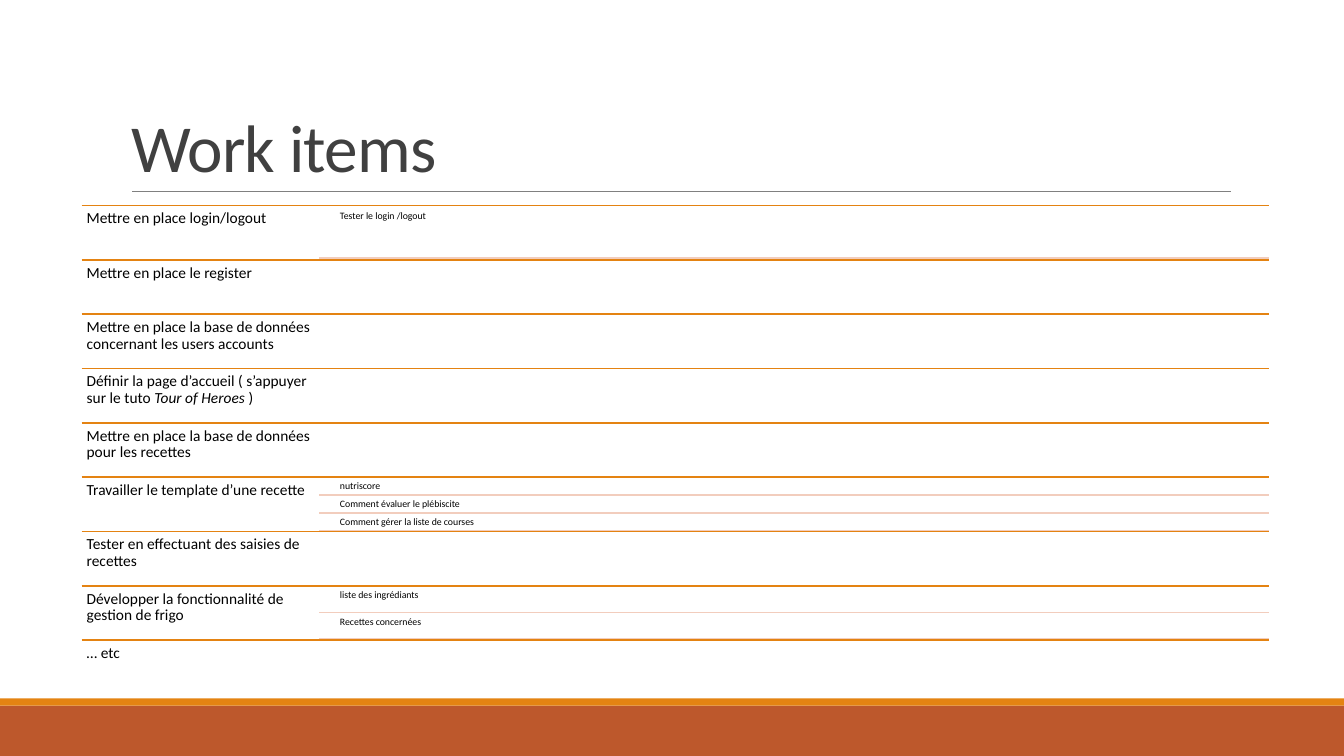
from dataclasses import dataclass

from lxml import etree
from pptx import Presentation, util as u
from pptx.dml.color import RGBColor
from pptx.enum import shapes, text
from pptx.oxml.ns import qn


@dataclass(frozen=True)
class Theme:
    font: str = "Calibri"
    ink: str = "000000"
    head: str = "404040"
    rust: str = "BD582C"
    gold: str = "E48312"
    pale: str = "F2CDBD"
    gray: str = "808080"
    big: int = 48
    mid: int = 11
    tiny: int = 7
    thick: float = 1.25
    thin: float = 0.5


class Deck:
    # Grid of the work list: 20 columns, one row per item
    left, top, col, row = 0.81, 2.04, 0.589, 0.539

    def __init__(self, theme):
        self.theme = theme
        self.prs = Presentation()
        self.prs.slide_width = u.Inches(13.33)
        self.prs.slide_height = u.Inches(7.5)
        self.slide = self.prs.slides.add_slide(self.prs.slide_layouts[5])

    def cell(self, col, row):
        """Grid position in inches."""
        return self.left + col * self.col, self.top + row * self.row

    def style(self, para, size, color, ratio):
        para.line_spacing = ratio
        para.alignment = text.PP_ALIGN.LEFT
        for run in para.runs:
            run.font.name = self.theme.font
            run.font.size = u.Pt(size)
            run.font.color.rgb = RGBColor.from_string(color)

    def title(self, words, x, y, w, h):
        box = self.slide.shapes.title
        box.left, box.top, box.width, box.height = map(u.Inches, (x, y, w, h))
        frame = box.text_frame
        frame.text = words
        frame.word_wrap = True
        frame.auto_size = text.MSO_AUTO_SIZE.NONE
        frame.vertical_anchor = text.MSO_ANCHOR.BOTTOM
        para = frame.paragraphs[0]
        self.style(para, self.theme.big, self.theme.head, 0.85)
        para.runs[0].font._element.set("spc", "-50")

    def band(self, y, h, color):
        bar = self.slide.shapes.add_shape(
            shapes.MSO_SHAPE.RECTANGLE, 0, u.Inches(y),
            self.prs.slide_width, u.Inches(h))
        bar.shadow.inherit = False
        bar.fill.solid()
        bar.fill.fore_color.rgb = RGBColor.from_string(color)
        bar.line.fill.background()

    def rule(self, x, y, end, color, width):
        line = self.slide.shapes.add_connector(
            shapes.MSO_CONNECTOR.STRAIGHT,
            *map(u.Inches, (x, y, end, y)))
        line.line.color.rgb = RGBColor.from_string(color)
        line.line.width = u.Pt(width)
        etree.SubElement(line._element.spPr, qn("a:effectLst"))

    def label(self, words, x, y, w, h, size, pad):
        """Text box; words between asterisks are italic."""
        box = self.slide.shapes.add_textbox(*map(u.Inches, (x, y, w, h)))
        frame = box.text_frame
        frame.word_wrap = True
        frame.margin_left = frame.margin_right = u.Inches(pad)
        frame.margin_top = frame.margin_bottom = u.Inches(pad)
        para = frame.paragraphs[0]
        first, *rest = words.split("*")
        para.text = first
        for i, part in enumerate(rest):
            run = para.add_run()
            run.text = part
            run.font.italic = i % 2 == 0
        self.style(para, size, self.theme.ink, 0.9)

    def item(self, row, words, tasks):
        """One work item with its tasks on the right."""
        x, y = self.cell(0, row)
        split, _ = self.cell(4, row)
        end, _ = self.cell(20, row)
        theme = self.theme
        if tasks:
            gap, high = 0.01, 0.5 / len(tasks)
            total = 0.5 + gap * (len(tasks) - 1)
            start = y + (self.row - total) / 2
            inset = split + 0.3 * self.col
            for i, task in enumerate(tasks):
                spot = start + i * (high + gap)
                self.label(task, inset, spot, end - inset, high,
                           theme.tiny, 0.03)
                self.rule(split, spot + high, end, theme.pale, theme.thick)
        self.rule(x, y, end, theme.gold, theme.thick)
        self.label(words, x, y, split - x, self.row, theme.mid, 0.05)


ITEMS = [
    ("Mettre en place login/logout", ["Tester le login /logout"]),
    ("Mettre en place le register", []),
    ("Mettre en place la base de données concernant les users accounts", []),
    ("Définir la page d’accueil ( s’appuyer sur le tuto *Tour of Heroes *)",
     []),
    ("Mettre en place la base de données pour les recettes", []),
    ("Travailler le template d’une recette",
     ["nutriscore", "Comment évaluer le plébiscite",
      "Comment gérer la liste de courses"]),
    ("Tester en effectuant des saisies de recettes", []),
    ("Développer la fonctionnalité de gestion de frigo",
     ["liste des ingrédiants", "Recettes concernées"]),
    ("… etc", []),
]


def main():
    theme = Theme()
    deck = Deck(theme)

    # Footer bands
    deck.band(7, 0.5, theme.rust)
    deck.band(6.93, 0.07, theme.gold)

    # Title and its rule
    deck.rule(1.31, 1.9, 12.21, theme.gray, theme.thin)
    deck.title("Work items", 1.2, 0.31, 11, 1.59)

    # Work list
    for row, (words, tasks) in enumerate(ITEMS):
        deck.item(row, words, tasks)

    deck.prs.save("out.pptx")


if __name__ == "__main__":
    main()
